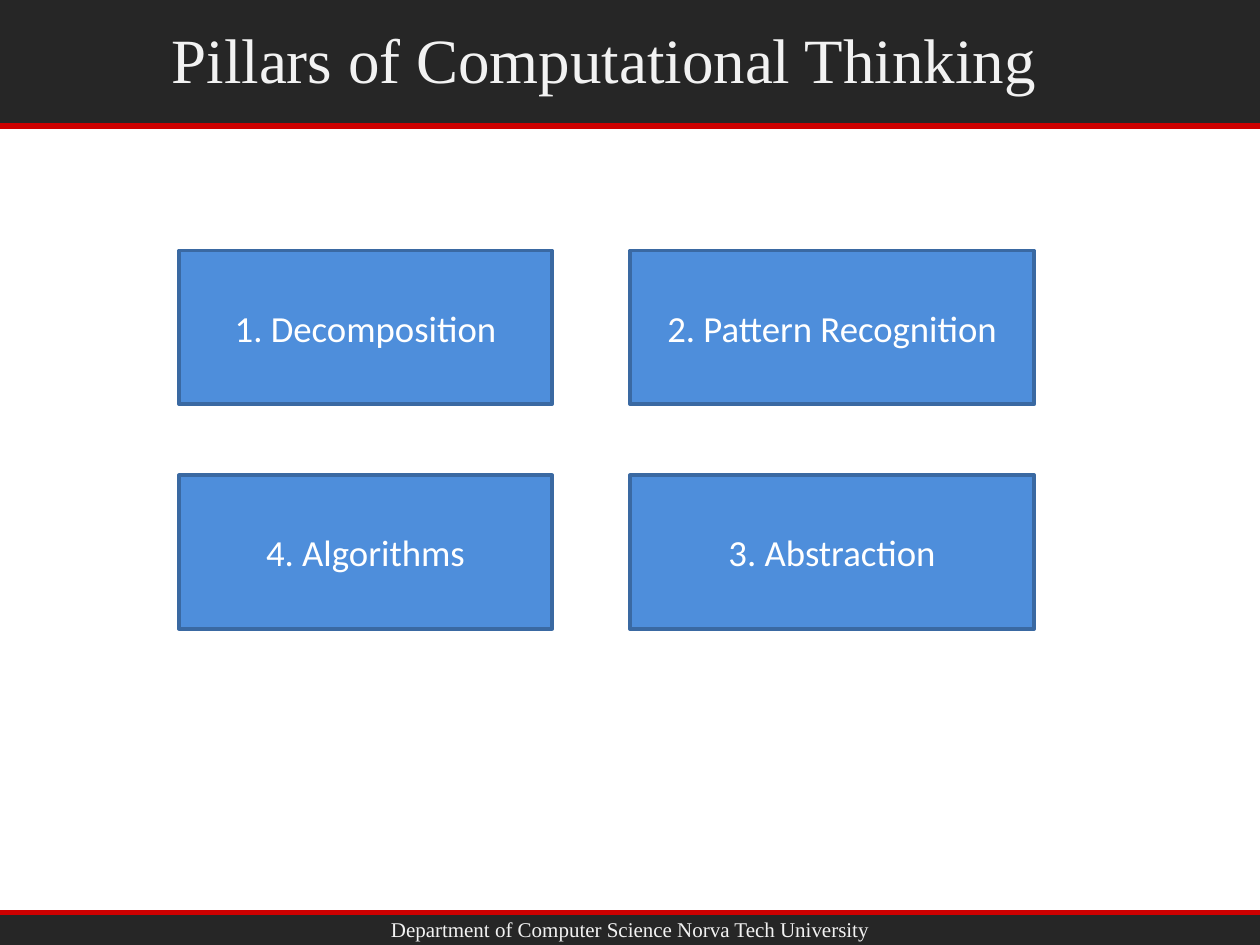
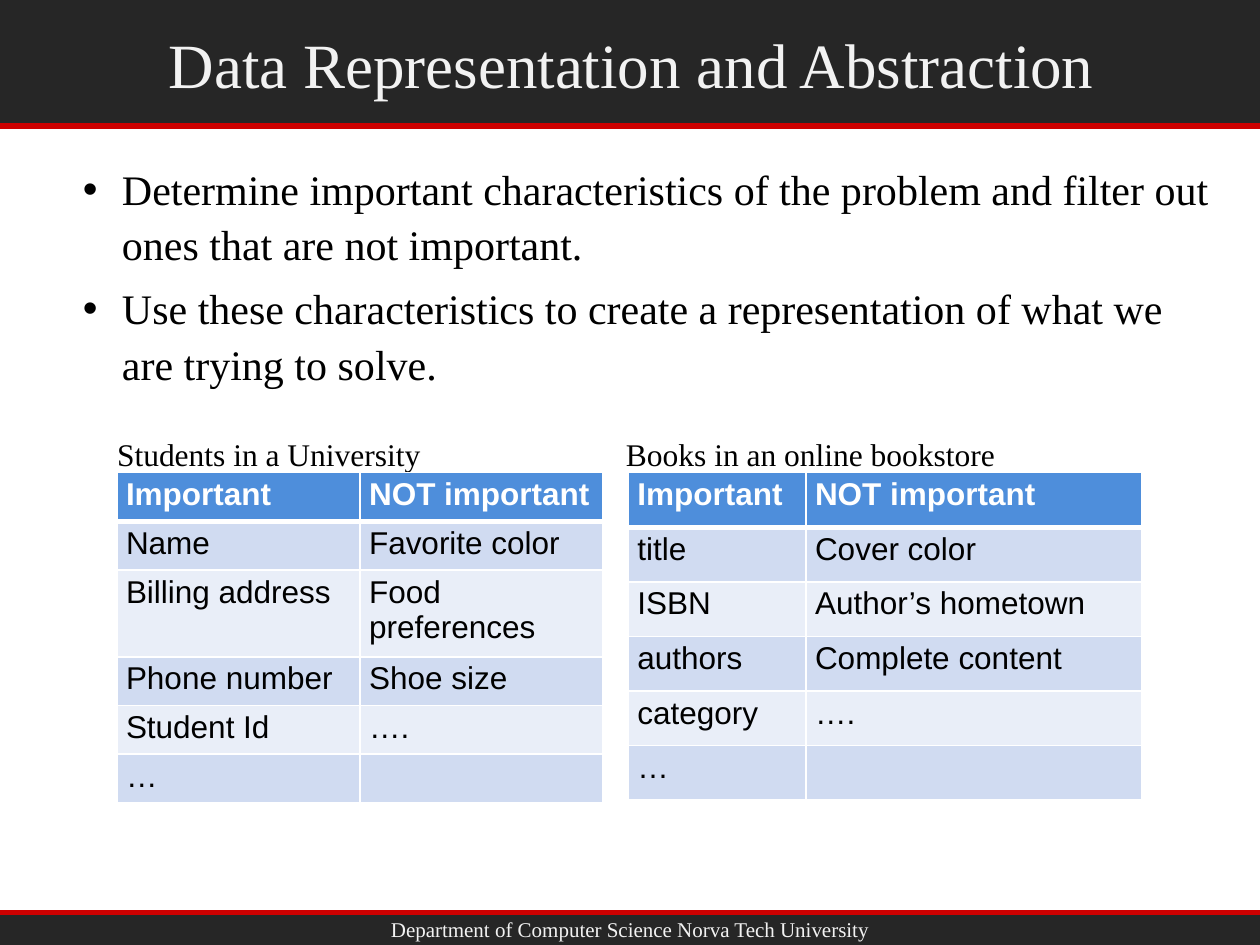
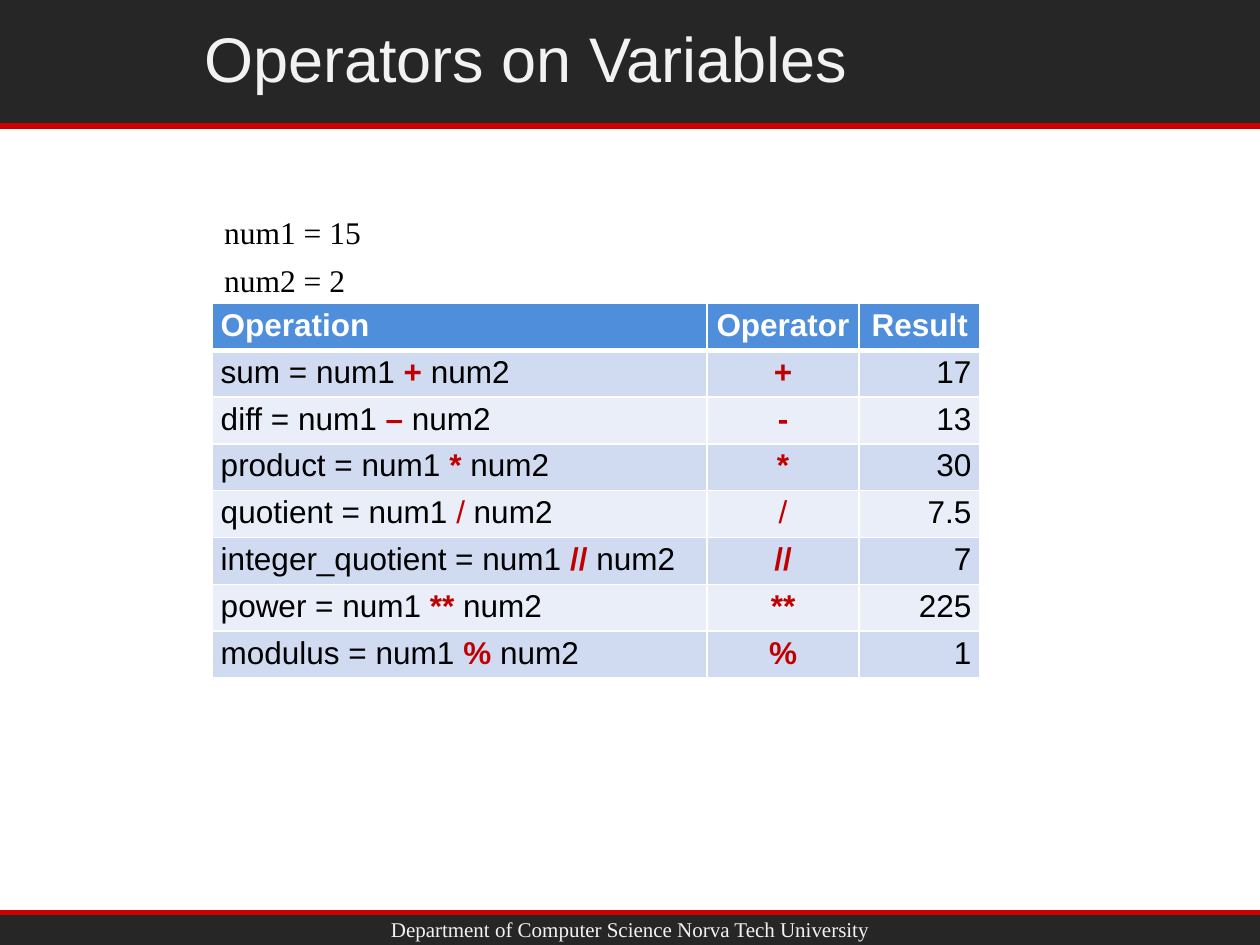
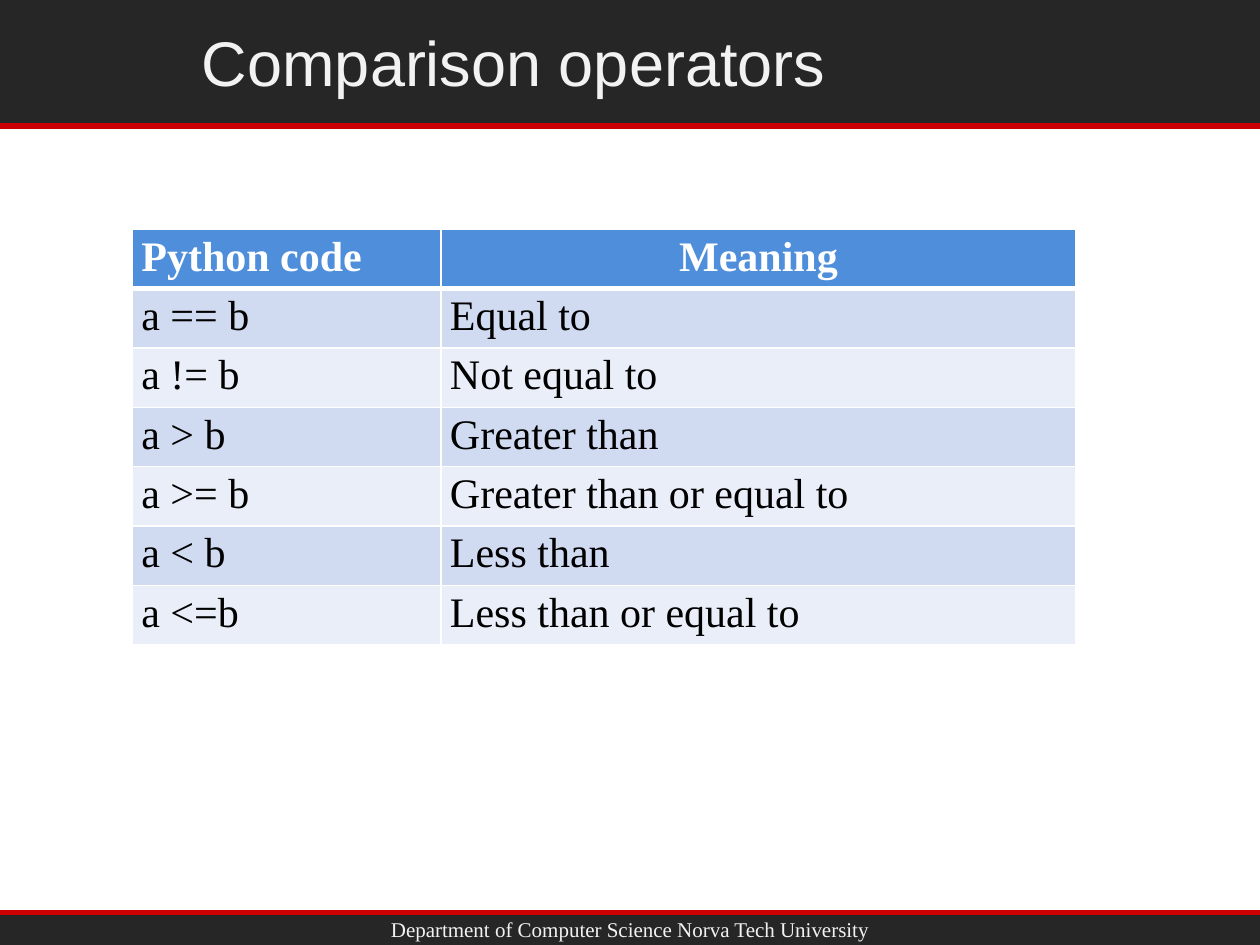
from dataclasses import dataclass, replace
from typing import Any, NamedTuple

from lxml import etree
from pptx import Presentation
from pptx.dml.color import RGBColor
from pptx.enum.shapes import MSO_CONNECTOR as CONN, MSO_SHAPE as SHAPE
from pptx.enum.text import MSO_ANCHOR as ANCHOR, MSO_AUTO_SIZE as AUTO, PP_ALIGN as ALIGN
from pptx.oxml.ns import qn
from pptx.util import Cm, Pt

WHITE = RGBColor(0xFF, 0xFF, 0xFF)
BLACK = RGBColor(0, 0, 0)
CHARCOAL = RGBColor(0x26, 0x26, 0x26)
OFF_WHITE = RGBColor(0xF2, 0xF2, 0xF2)
RED = RGBColor(0xCC, 0, 0)
DARK_RED = RGBColor(0xC0, 0, 0)
BLUE = RGBColor(0x4E, 0x8E, 0xDB)
DEEP_BLUE = RGBColor(0x3A, 0x69, 0xA2)
BAND_FILLS = (RGBColor(0xD0, 0xDB, 0xF1), RGBColor(0xE9, 0xEE, 0xF8))

SERIF, SANS, BOX_FONT = "Times New Roman", "Arial", "Calibri"
SLIDE_W, SLIDE_H = 25.4, 19.05
HEADER_H, FOOTER_Y = 2.54, 18.39
FOOTER = "Department of Computer Science Norva Tech University"


class Rect(NamedTuple):
    x: float
    y: float
    w: float
    h: float

    def lengths(self) -> list[Cm]:
        return [Cm(v) for v in self]


@dataclass(frozen=True)
class Style:
    size: float
    font: str = SERIF
    color: RGBColor = BLACK
    bold: bool = False


class Run(NamedTuple):
    text: str
    style: Style


@dataclass(frozen=True)
class Title:
    text: str
    at: Rect
    font: str = SERIF


@dataclass(frozen=True)
class Grid:
    x: float
    y: float
    cols: tuple[float, ...]
    row_heights: list[float]
    rows: list[tuple]
    style: Style
    head_aligns: tuple
    aligns: tuple


def assign(obj: Any, values: dict[str, Any]) -> None:
    for name, value in values.items():
        setattr(obj, name, value)


def write(p, content: str | list[Run], style: Style, align=ALIGN.LEFT) -> None:
    p.alignment = align
    runs = [Run(content, style)] if isinstance(content, str) else content
    for text, st in runs:
        r = p.add_run()
        r.text = text
        assign(r.font, {"size": Pt(st.size), "name": st.font, "bold": st.bold})
        r.font.color.rgb = st.color


def add_text(slide, at: Rect, lines: list[str], style: Style, align=ALIGN.LEFT,
             anchor=ANCHOR.TOP, auto=AUTO.NONE):
    tf = slide.shapes.add_textbox(*at.lengths()).text_frame
    assign(tf, {"word_wrap": True, "auto_size": auto, "vertical_anchor": anchor})
    for i, line in enumerate(lines):
        write(tf.add_paragraph() if i else tf.paragraphs[0], line, style, align)
    return tf


def add_body(slide, at: Rect, lines: list[str], size: float, bullets: bool = False) -> None:
    for p in add_text(slide, at, lines, Style(size)).paragraphs:
        p.line_spacing = 1.1
        ppr = p._p.get_or_add_pPr()
        before = etree.SubElement(ppr, qn("a:spcBef"))
        etree.SubElement(before, qn("a:spcPct"), val="20000")
        if bullets:
            ppr.set("marL", str(Cm(0.79)))
            ppr.set("indent", str(-Cm(0.79)))
            etree.SubElement(ppr, qn("a:buFont"), typeface=SANS)
            etree.SubElement(ppr, qn("a:buChar"), char="•")


def add_box(slide, at: Rect, fill: RGBColor, line: RGBColor | None = None):
    sp = slide.shapes.add_shape(SHAPE.RECTANGLE, *at.lengths())
    sp.shadow.inherit = False
    sp.fill.solid()
    sp.fill.fore_color.rgb = fill
    if line is None:
        sp.line.fill.background()
    else:
        sp.line.color.rgb = line
        sp.line.width = Pt(2)
    return sp


def add_rule(slide, y: float) -> None:
    cx = slide.shapes.add_connector(CONN.STRAIGHT, Cm(0), Cm(y), Cm(SLIDE_W), Cm(y))
    cx.line.color.rgb = RED
    cx.line.width = Pt(3)
    etree.SubElement(cx._element.spPr, qn("a:effectLst"))


def add_slide(prs, title: Title):
    slide = prs.slides.add_slide(prs.slide_layouts[6])
    add_box(slide, Rect(0, FOOTER_Y, SLIDE_W, SLIDE_H - FOOTER_Y), CHARCOAL)
    add_rule(slide, FOOTER_Y)
    add_text(slide, Rect(2.57, 18.36, 20.27, 0.76), [FOOTER], Style(12, SERIF, OFF_WHITE),
             ALIGN.CENTER, ANCHOR.MIDDLE, AUTO.SHAPE_TO_FIT_TEXT)
    add_box(slide, Rect(0, 0, SLIDE_W, HEADER_H), CHARCOAL)
    add_rule(slide, HEADER_H)
    add_text(slide, title.at, [title.text], Style(36, title.font, OFF_WHITE),
             ALIGN.CENTER, ANCHOR.MIDDLE)
    return slide


def add_borders(cell, widths: dict[str, float]) -> None:
    tcpr = cell._tc.get_or_add_tcPr()
    for side, width in widths.items():
        ln = etree.SubElement(tcpr, qn(f"a:ln{side}"), w=str(Pt(width)))
        fill = etree.SubElement(ln, qn("a:solidFill"))
        etree.SubElement(fill, qn("a:srgbClr"), val=str(WHITE))


def add_grid(slide, grid: Grid) -> None:
    at = Rect(grid.x, grid.y, sum(grid.cols), sum(grid.row_heights))
    tbl = slide.shapes.add_table(len(grid.rows), len(grid.cols), *at.lengths()).table
    for col, width in zip(tbl.columns, grid.cols):
        col.width = Cm(width)
    for row, height in zip(tbl.rows, grid.row_heights):
        row.height = Cm(height)
    margins = {"margin_left": Cm(0.18), "margin_right": Cm(0.18),
               "margin_top": Cm(0.09), "margin_bottom": Cm(0.09)}
    head_style = replace(grid.style, color=WHITE, bold=True)
    for i, row in enumerate(grid.rows):
        style, aligns = (grid.style, grid.aligns) if i else (head_style, grid.head_aligns)
        for j, content in enumerate(row):
            cell = tbl.cell(i, j)
            assign(cell, margins)
            add_borders(cell, {"L": 1, "R": 1, "T": 3 if i == 1 else 1, "B": 1 if i else 3})
            cell.fill.solid()
            cell.fill.fore_color.rgb = BAND_FILLS[(i - 1) % 2] if i else BLUE
            if content:
                write(cell.text_frame.paragraphs[0], content, style, aligns[j])


def pillars_slide(prs) -> None:
    slide = add_slide(prs, Title("Pillars of Computational Thinking",
                                 Rect(1.73, 0.46, 20.9, 1.45)))
    left, right = (3.61, 7.52), (12.7, 8.15)
    top, bottom = 5.05, 9.58
    pillars = [("1. Decomposition", left, top), ("2. Pattern Recognition", right, top),
               ("3. Abstraction", right, bottom), ("4. Algorithms", left, bottom)]
    for text, (x, w), y in pillars:
        tf = add_box(slide, Rect(x, y, w, 3.1), BLUE, DEEP_BLUE).text_frame
        assign(tf, {"word_wrap": True, "vertical_anchor": ANCHOR.MIDDLE})
        write(tf.paragraphs[0], text, Style(21, BOX_FONT, WHITE), ALIGN.CENTER)


def abstraction_slide(prs) -> None:
    slide = add_slide(prs, Title("Data Representation and Abstraction",
                                 Rect(1.8, 0.36, 21.87, 1.83)))
    add_body(slide, Rect(1.42, 3.07, 23.32, 5.28), [
        "Determine important characteristics of the problem and filter out ones "
        "that are not important.",
        "Use these characteristics to create a representation of what we are trying to solve.",
    ], 24, bullets=True)
    head = ("Important", "NOT important")
    students = [head, ("Name", "Favorite color"), ("Billing address", "Food preferences"),
                ("Phone number", "Shoe size"), ("Student Id", "…."), ("…", "")]
    books = [head, ("title", "Cover color"), ("ISBN", "Author’s hometown"),
             ("authors", "Complete content"), ("category", "…."), ("…", "")]
    examples = [
        ("Students in a University", 2.11, 2.36, (4.9, 4.9),
         [0.98, 0.98, 1.75, 0.98, 0.98, 0.98], students),
        ("Books in an online bookstore", 12.37, 12.67, (3.58, 6.76), [1.1] * 6, books),
    ]
    aligns = (ALIGN.LEFT, ALIGN.LEFT)
    for caption, caption_x, x, cols, heights, rows in examples:
        add_text(slide, Rect(caption_x, 8.64, 8.36, 1.02), [caption], Style(18),
                 auto=AUTO.SHAPE_TO_FIT_TEXT)
        add_grid(slide, Grid(x, 9.53, cols, heights, rows, Style(18, SANS), aligns, aligns))


def operators_slide(prs) -> None:
    slide = add_slide(prs, Title("Operators on Variables", Rect(1.65, 0.25, 17.91, 1.83), SANS))
    add_body(slide, Rect(4.27, 4.09, 12.07, 1.83), ["num1 = 15", "num2 = 2"], 18)
    plain = Style(18, SANS)
    rows: list[tuple] = [("Operation", "Operator", "Result")]
    for name, shown, operator, result in [
        ("sum", "+", "+", "17"), ("diff", "–", "-", "13"), ("product", "*", "*", "30"),
        ("quotient", "/", "/", "7.5"), ("integer_quotient", "//", "//", "7"),
        ("power", "**", "**", "225"), ("modulus", "%", "%", "1"),
    ]:
        accent = replace(plain, color=DARK_RED, bold=operator != "/")
        formula = [Run(f"{name} = num1 ", plain), Run(shown, accent), Run(" num2", plain)]
        rows.append((formula, [Run(operator, accent)], result))
    add_grid(slide, Grid(4.27, 6.12, (9.98, 3.07, 2.44), [0.9] * len(rows), rows, plain,
                         (ALIGN.LEFT, ALIGN.CENTER, ALIGN.CENTER),
                         (ALIGN.LEFT, ALIGN.CENTER, ALIGN.RIGHT)))


def comparison_slide(prs) -> None:
    slide = add_slide(prs, Title("Comparison operators", Rect(1.4, 0.46, 17.91, 1.55), SANS))
    rows = [("Python code", "Meaning"), ("a == b", "Equal to"), ("a != b", "Not equal to"),
            ("a > b", "Greater than"), ("a >= b", "Greater than or equal to"),
            ("a < b", "Less than"), ("a <=b", "Less than or equal to")]
    add_grid(slide, Grid(2.67, 4.62, (6.22, 12.8), [1.12] * len(rows), rows, Style(24),
                         (ALIGN.LEFT, ALIGN.CENTER), (ALIGN.LEFT, ALIGN.LEFT)))


prs = Presentation()
assign(prs, {"slide_width": Cm(SLIDE_W), "slide_height": Cm(SLIDE_H)})
for build in (pillars_slide, abstraction_slide, operators_slide, comparison_slide):
    build(prs)
prs.save("out.pptx")
